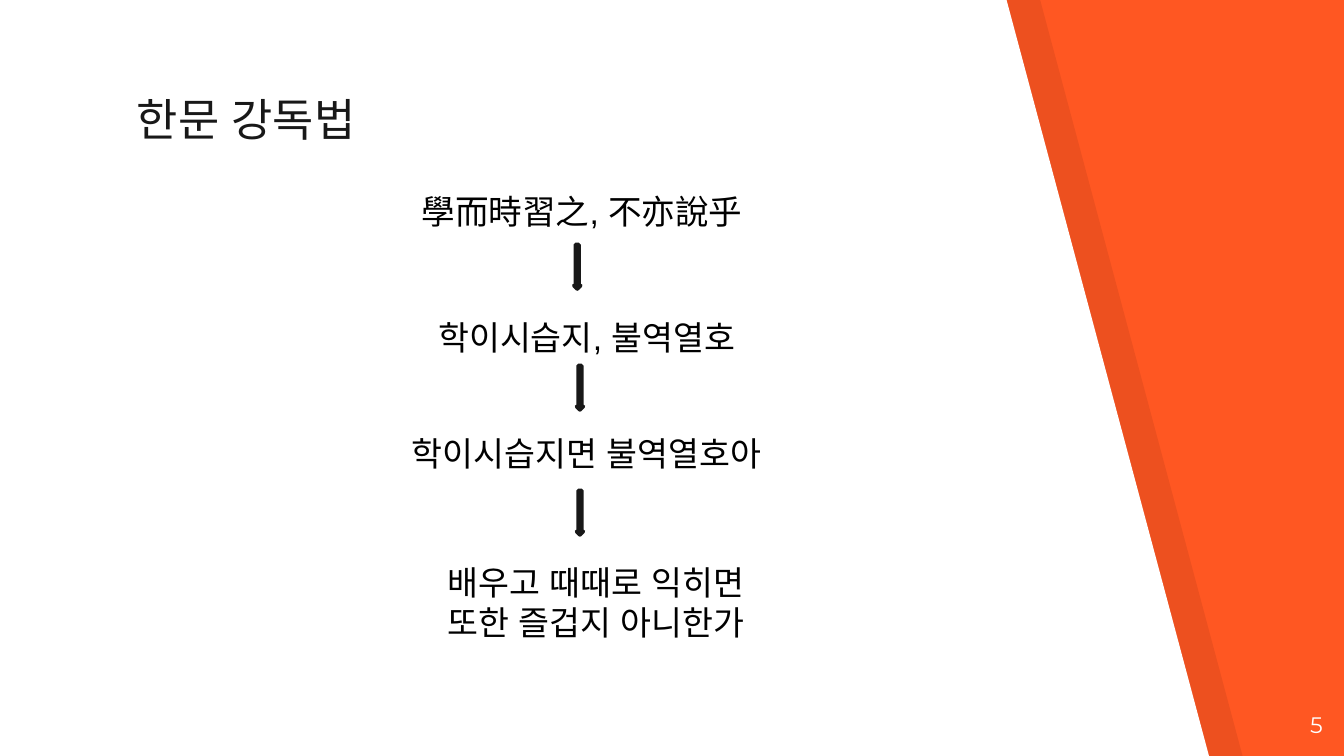
from lxml import etree
from pptx import Presentation
from pptx.dml.color import RGBColor
from pptx.enum.shapes import MSO_SHAPE
from pptx.enum.text import MSO_ANCHOR, PP_ALIGN
from pptx.oxml.ns import qn
from pptx.util import Inches, Pt

ORANGE = RGBColor(0xFF, 0x57, 0x22)
WHITE = RGBColor(0xFF, 0xFF, 0xFF)
BLACK = RGBColor(0, 0, 0)
INK = RGBColor(0x18, 0x18, 0x18)
LEFT, CENTER, RIGHT = PP_ALIGN.LEFT, PP_ALIGN.CENTER, PP_ALIGN.RIGHT
TOP, BOTTOM = MSO_ANCHOR.TOP, MSO_ANCHOR.BOTTOM
DOWN_ARROW = MSO_SHAPE.DOWN_ARROW

# Widescreen 16:9
prs = Presentation()
prs.slide_width = Inches(10)
prs.slide_height = prs.slide_width * 9 // 16
s = prs.slides.add_slide(prs.slide_layouts[6])
s.background.fill.solid()
s.background.fill.fore_color.rgb = ORANGE


def add_panel(x, color):
    corners = [(x, -0.01), (x, 5.64), (x + 9, 5.64), (x + 7.49, 0)]
    points = [(Inches(px), Inches(py)) for px, py in corners]
    builder = s.shapes.build_freeform(*points[0])
    builder.add_line_segments(points[1:])
    sp = builder.convert_to_shape()
    sp.shadow.inherit = False
    sp.fill.solid()
    sp.fill.fore_color.rgb = color
    sp.line.fill.background()
    return sp


def add_text(lines, x, y, w, h, size, font, color, align=CENTER, anchor=BOTTOM):
    tf = s.shapes.add_textbox(Inches(x), Inches(y), Inches(w), Inches(h)).text_frame
    tf.word_wrap = True
    tf.vertical_anchor = anchor
    tf.margin_left = tf.margin_right = tf.margin_top = tf.margin_bottom = Inches(0.1)
    tf.text = lines
    for p in tf.paragraphs:
        p.alignment = align
        p.font.size = Pt(size)
        p.font.color.rgb = color
        p.font.name = font
        # East Asian glyphs need their own typeface entry
        props = p._p.pPr.find(qn("a:defRPr"))
        etree.SubElement(props, qn("a:ea")).set("typeface", "Arial")


# Slanted white page with a translucent dark edge
edge = add_panel(0.25, BLACK)
edge_color = edge.fill._xPr.find(qn("a:solidFill"))[0]
etree.SubElement(edge_color, qn("a:alpha")).set("val", "7000")
add_panel(0, WHITE)

# Title and slide number
add_text("한문 강독법", 0.92, 0.61, 5.25, 0.57, 24, "Noto Sans CJK KR", INK, LEFT)
add_text("5", 9.34, 5.19, 0.6, 0.43, 12, "Montserrat", WHITE, RIGHT, TOP)

# Reading steps, from the Chinese text to its translation
steps = [
    ("學而時習之, 不亦說乎 ", 1.74, 1.37, 0.45),
    ("학이시습지, 불역열호", 1.74, 2.31, 0.45),
    ("학이시습지면 불역열호아", 1.74, 3.17, 0.45),
    ("배우고 때때로 익히면\n또한 즐겁지 아니한가", 1.81, 4.02, 0.86),
]
for lines, x, y, h in steps:
    add_text(lines, x, y, 5.25, h, 18, "Arial", BLACK)

# Arrows between the steps
for x, y in [(4.27, 1.82), (4.29, 2.72), (4.29, 3.65)]:
    sp = s.shapes.add_shape(DOWN_ARROW, Inches(x), Inches(y), Inches(0.05), Inches(0.33))
    sp.shadow.inherit = False
    sp.fill.solid()
    sp.fill.fore_color.rgb = INK
    sp.line.color.rgb = INK
    sp.line.width = Pt(2)

prs.save("out.pptx")
